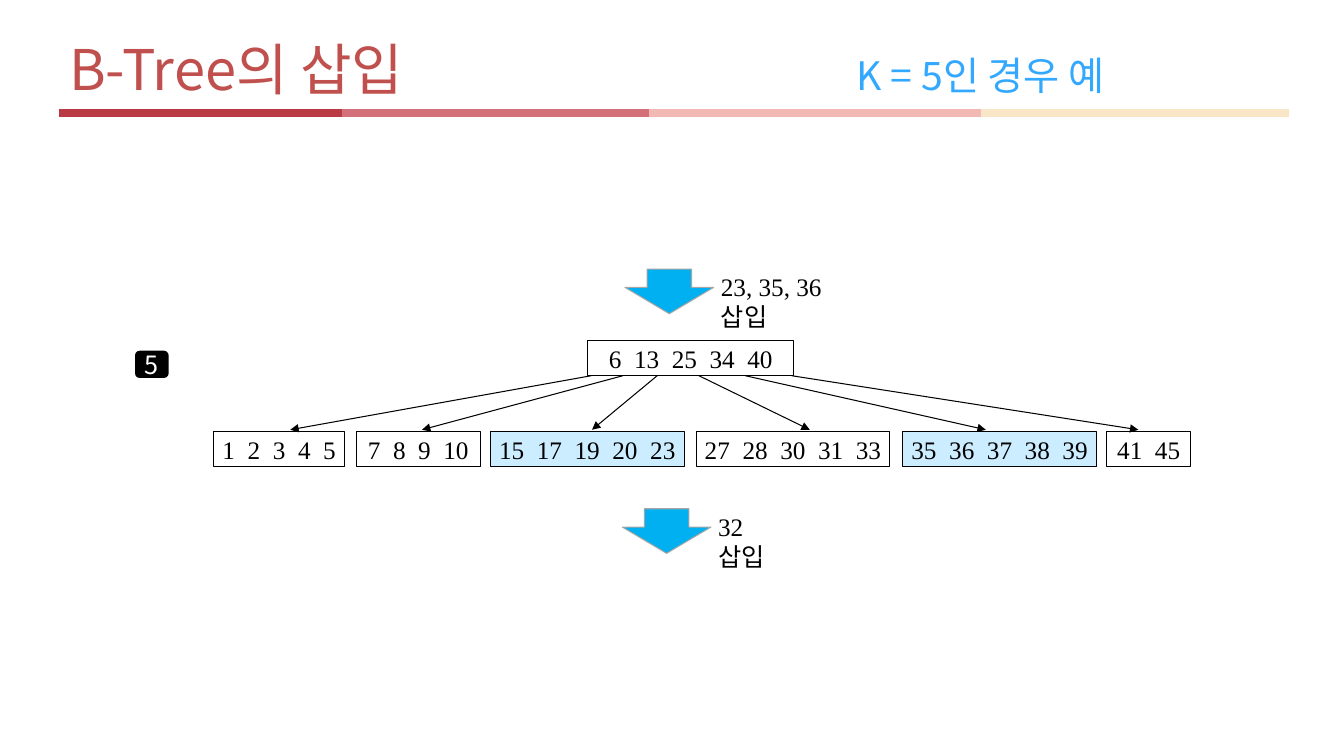
import itertools
from dataclasses import dataclass

import lxml.etree
import pptx
import pptx.dml.color
import pptx.enum.shapes
import pptx.enum.text
import pptx.oxml.ns
import pptx.util

SHAPE = pptx.enum.shapes.MSO_SHAPE
ALIGN = pptx.enum.text.PP_ALIGN
ANCHOR = pptx.enum.text.MSO_ANCHOR
WIDTH, HEIGHT = 13.33, 7.5


@dataclass(frozen=True)
class Theme:
    """Colours, fonts and type sizes of the slide."""
    korean: str = "Noto Sans CJK KR"
    serif: str = "Times New Roman"
    title_size: int = 40
    subtitle_size: int = 28
    text_size: int = 18
    title: str = "C0504D"
    subtitle: str = "33A8FF"
    ink: str = "000000"
    paper: str = "FFFFFF"
    changed: str = "CCECFF"
    arrow: str = "00B0F0"
    arrow_edge: str = "A6A6A6"
    rule: tuple = ("B93945", "D37079", "F2B8B4", "F8E6C7")


THEME = Theme()


def column(count):
    """Return the length of a number of columns, 100 to the slide."""
    return pptx.util.Inches(count * WIDTH / 100)


def row(count):
    """Return the length of a number of rows, 100 to the slide."""
    return pptx.util.Inches(count * HEIGHT / 100)


def place(left, top, width, height):
    """Turn a grid box into slide lengths."""
    return column(left), row(top), column(width), row(height)


def color(value):
    """Return a colour from its hexadecimal value."""
    return pptx.dml.color.RGBColor.from_string(value)


def child(parent, tag, **attributes):
    """Append a DrawingML element to a parent."""
    return lxml.etree.SubElement(parent, pptx.oxml.ns.qn(tag), attributes)


def write(paragraph, text, font=THEME.serif, size=THEME.text_size,
          ink=THEME.ink, align=ALIGN.LEFT):
    """Add a formatted run to a paragraph."""
    paragraph.alignment = align
    run = paragraph.add_run()
    run.text = text
    run.font.name = font
    run.font.size = pptx.util.Pt(size)
    run.font.color.rgb = color(ink)
    child(run.font._element, "a:ea", typeface=font)


def draw_shape(slide, kind, box, fill=None, edge=None):
    """Draw a preset shape without shadow or text margins."""
    shape = slide.shapes.add_shape(kind, *place(*box))
    shape.shadow.inherit = False
    if fill:
        shape.fill.solid()
        shape.fill.fore_color.rgb = color(fill)
    else:
        shape.fill.background()
    if edge:
        shape.line.color.rgb = color(edge)
        shape.line.width = pptx.util.Pt(0.75)
    else:
        shape.line.fill.background()
    frame = shape.text_frame
    frame.margin_left = frame.margin_right = 0
    frame.margin_top = frame.margin_bottom = 0
    frame.vertical_anchor = ANCHOR.MIDDLE
    frame.word_wrap = False
    return shape


def draw_line(slide, start, end, ink=THEME.ink, weight=0.75, arrow=False):
    """Draw a straight line between two grid points."""
    line = slide.shapes.add_connector(
        pptx.enum.shapes.MSO_CONNECTOR.STRAIGHT,
        column(start[0]), row(start[1]), column(end[0]), row(end[1]))
    line.line.color.rgb = color(ink)
    line.line.width = pptx.util.Pt(weight)
    if arrow:
        child(line.line._get_or_add_ln(), "a:tailEnd", type="triangle")
    child(line._element.spPr, "a:effectLst")


def draw_header(slide, box):
    """Fill the title and draw the four-coloured rule under it."""
    left, top, width, height = box
    stops = [left + share * width for share in (0, 0.23, 0.48, 0.75, 1)]
    base = top + height + 0.13
    for (start, end), ink in zip(itertools.pairwise(stops), THEME.rule):
        draw_line(slide, (start, base), (end, base), ink, 6)
    title = slide.shapes.title
    title.left, title.top, title.width, title.height = place(*box)
    frame = title.text_frame
    frame.word_wrap = True
    frame.auto_size = pptx.enum.text.MSO_AUTO_SIZE.NONE
    frame.vertical_anchor = ANCHOR.MIDDLE
    paragraph = frame.paragraphs[0]
    paragraph.line_spacing = 0.9
    write(paragraph, "B-Tree의 삽입\t", THEME.korean, THEME.title_size, THEME.title)
    write(paragraph, "K = 5인 경우 예", THEME.korean, THEME.subtitle_size, THEME.subtitle)
    tabs = child(paragraph._p.get_or_add_pPr(), "a:tabLst")
    child(tabs, "a:tab", pos=str(column(58.6)), algn="l")


def draw_insertion(slide, box, keys):
    """Draw a down arrow with the inserted keys beside it."""
    left, top, width, height = box
    arrow = draw_shape(slide, SHAPE.DOWN_ARROW, box, THEME.arrow, THEME.arrow_edge)
    arrow.adjustments[0], arrow.adjustments[1] = 0.5, 0.59
    label = slide.shapes.add_textbox(*place(left + width - 0.2, top - 0.35, 13, 9))
    label.text_frame.word_wrap = True
    paragraph = label.text_frame.paragraphs[0]
    write(paragraph, keys)
    paragraph.add_line_break()
    write(paragraph, "삽입", THEME.korean)


def draw_node(slide, box, keys, fill=None):
    """Draw a tree node holding its keys."""
    node = draw_shape(slide, SHAPE.RECTANGLE, box, fill, THEME.ink)
    write(node.text_frame.paragraphs[0], "  ".join(map(str, keys)), align=ALIGN.CENTER)


def draw_tree(slide, box, root, leaves):
    """Draw the root, its leaves and the arrows between them."""
    left, top, width, height = box
    node_height = 4.6
    leaf_top = top + height - node_height
    draw_node(slide, (left + 27.85, top, 15.3, node_height), root)
    for offset, leaf_width, keys, fill, start, end in leaves:
        draw_node(slide, (left + offset, leaf_top, leaf_width, node_height), keys, fill)
        draw_line(slide, (left + start, top + node_height),
                  (left + end, leaf_top - 0.25), arrow=True)


def draw_step_number(slide, box, number):
    """Draw the rounded badge with the step number."""
    badge = draw_shape(slide, SHAPE.ROUNDED_RECTANGLE, box, THEME.ink)
    write(badge.text_frame.paragraphs[0], number, THEME.korean,
          ink=THEME.paper, align=ALIGN.CENTER)


def main():
    """Build the slide and save it."""
    presentation = pptx.Presentation()
    presentation.slide_width = pptx.util.Inches(WIDTH)
    presentation.slide_height = pptx.util.Inches(HEIGHT)
    slide = presentation.slides.add_slide(presentation.slide_layouts[5])
    leaves = [
        (0, 9.75, (1, 2, 3, 4, 5), None, 28.1, 5.7),
        (10.6, 9.25, (7, 8, 9, 10), None, 30.45, 15.5),
        (20.6, 14.4, (15, 17, 19, 20, 23), THEME.changed, 33, 28.15),
        (35.9, 14.4, (27, 28, 30, 31, 33), None, 36.1, 44.35),
        (51.25, 14.45, (35, 36, 37, 38, 39), THEME.changed, 39.55, 57.45),
        (66.45, 6.25, (41, 45), None, 43, 68.8),
    ]
    draw_header(slide, (4.4, 4.3, 91.5, 10.5))
    draw_insertion(slide, (46.5, 35.6, 6.6, 5.9), "23, 35, 36")
    draw_tree(slide, (15.9, 45.1, 72.7, 16.6), (6, 13, 25, 34, 40), leaves)
    draw_insertion(slide, (46.3, 67.3, 6.6, 5.9), "32")
    draw_step_number(slide, (10.05, 46.4, 2.5, 3.6), "5")
    presentation.save("out.pptx")


if __name__ == "__main__":
    main()
